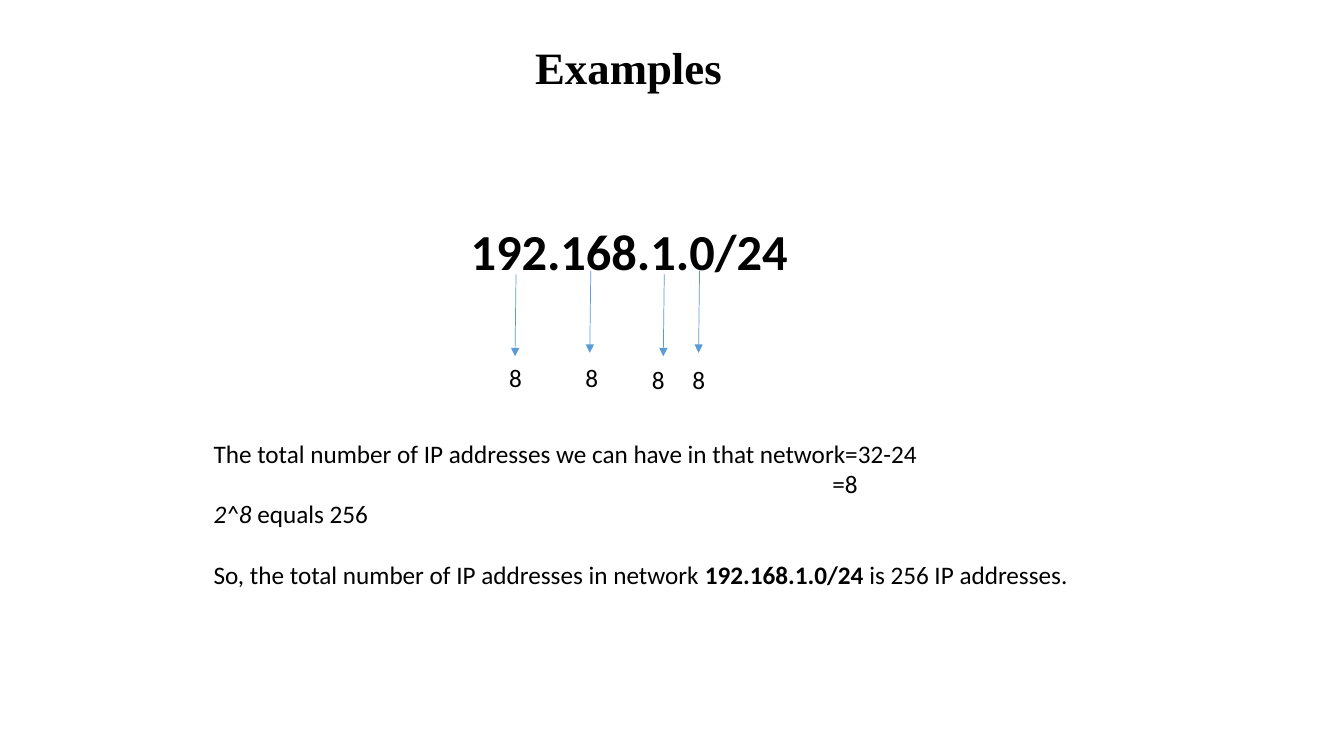
"""Build a slide that counts the IP addresses in a /24 network."""
from lxml.etree import SubElement
from pptx import Presentation
from pptx.dml.color import RGBColor
from pptx.enum.shapes import MSO_CONNECTOR
from pptx.enum.text import PP_ALIGN
from pptx.oxml.ns import qn
from pptx.util import Pt

rgb = RGBColor.from_string

deck = Presentation()
deck.slide_width, deck.slide_height = Pt(960), Pt(540)
page = deck.slides.add_slide(deck.slide_layouts[6])


def add_frame(left, top, width, height):
    box = page.shapes.add_textbox(Pt(left), Pt(top), Pt(width), Pt(height))
    box.text_frame.word_wrap = True
    return box.text_frame


def write(para, text, size=18, font="Calibri", color="000000", bold=False, italic=False):
    span = para.add_run()
    span.text = text
    span.font.size = Pt(size)
    span.font.name = font
    span.font.color.rgb = rgb(color)
    span.font.bold = bold
    span.font.italic = italic


title = add_frame(247, 24.5, 404, 46).paragraphs[0]
title.alignment = PP_ALIGN.CENTER
write(title, "Examples", size=32, font="Times New Roman", bold=True)

address = add_frame(329, 154, 297.5, 94).paragraphs[0]
write(address, "192.168.1.0/24", size=36, bold=True)

octets = [(368.6, 196, 356.5, 255), (422, 193.5, 411, 255),
          (474.5, 196, 458.5, 256.5), (499.7, 193.5, 487.5, 256.5)]
for arrow_x, arrow_top, bits_left, bits_top in octets:
    arrow = page.shapes.add_connector(
        MSO_CONNECTOR.STRAIGHT, Pt(arrow_x), Pt(arrow_top), Pt(arrow_x - 0.7), Pt(arrow_top + 58.5))
    arrow.line.color.rgb = rgb("5B9BD5")
    arrow.line.width = Pt(0.5)
    SubElement(arrow.line._get_or_add_ln(), qn("a:tailEnd"), type="triangle")
    SubElement(arrow._element.spPr, qn("a:effectLst"))
    write(add_frame(bits_left, bits_top, 38, 29).paragraphs[0], "8")

explanation = add_frame(145.5, 309.5, 703, 160)
write(explanation.paragraphs[0],
      "The total number of IP addresses we can have in that network=32-24")

difference = explanation.add_paragraph()
difference._p.get_or_add_pPr().set("marL", str(Pt(442)))
write(difference, "=8")

power = explanation.add_paragraph()
write(power, "2^8 ", italic=True)
write(power, "equals 256")

conclusion = explanation.add_paragraph()
conclusion.space_before = Pt(22)
write(conclusion, "So, the total number of IP addresses in network ")
write(conclusion, "192.168.1.0/24 ", bold=True)
write(conclusion, "is 256 IP addresses.")

deck.save("out.pptx")
